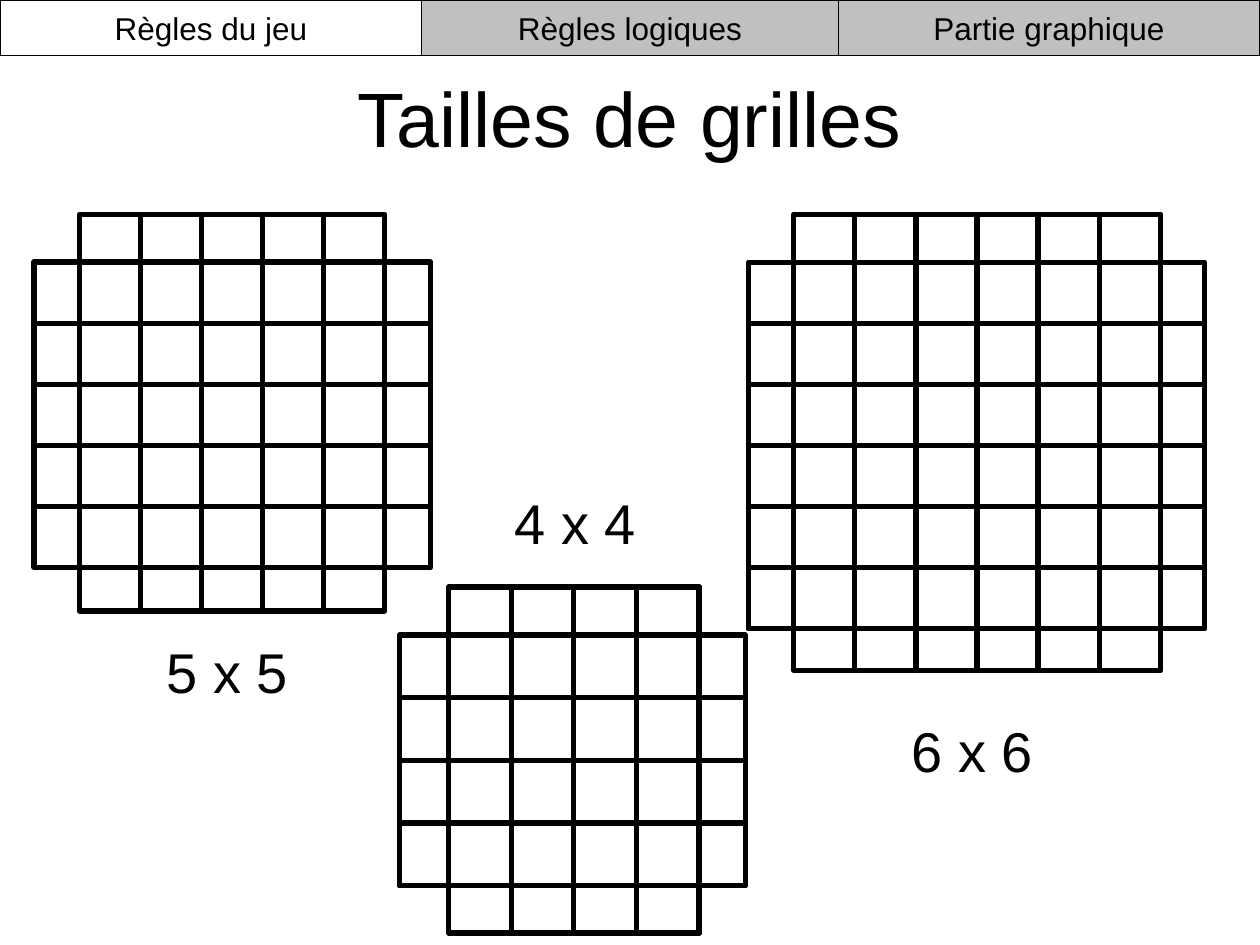
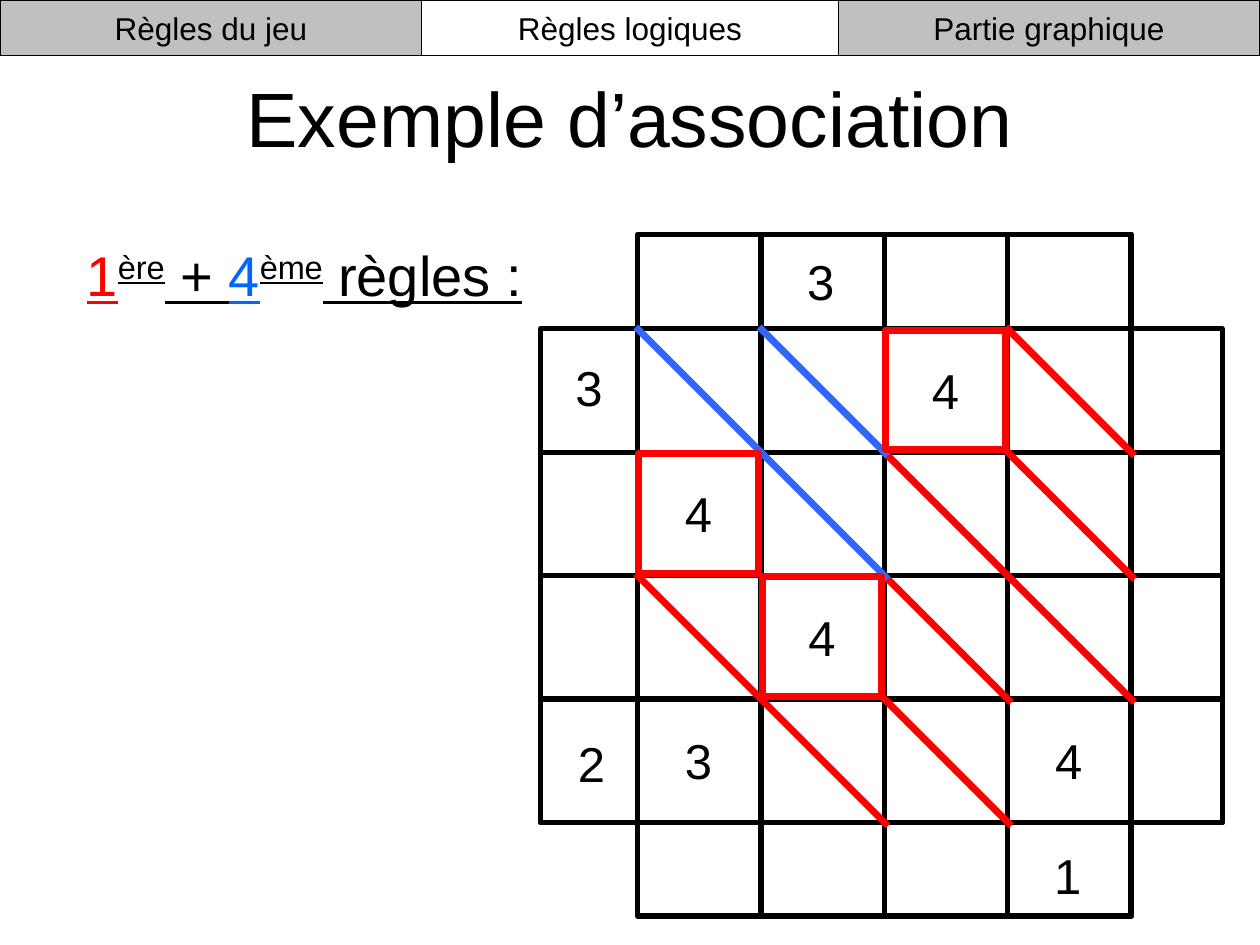
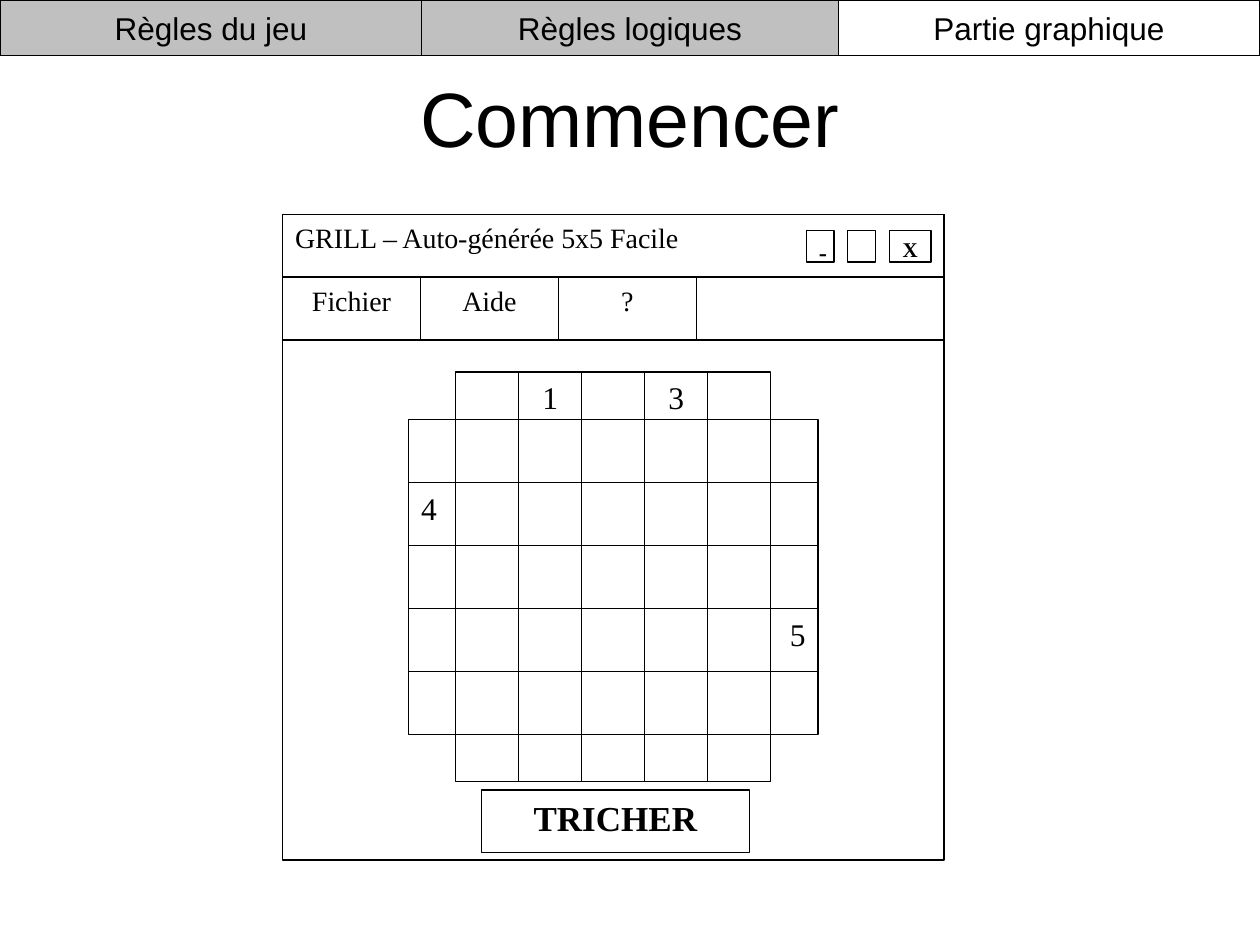
from lxml.etree import SubElement
from pptx import Presentation
from pptx.dml.color import RGBColor
from pptx.enum.shapes import MSO_CONNECTOR, MSO_SHAPE
from pptx.enum.text import MSO_ANCHOR, PP_ALIGN
from pptx.oxml.ns import qn
from pptx.util import Pt

COLORS = {
    "ink": "000000",
    "paper": "FFFFFF",
    "inactive": "C0C0C0",
    "red": "FF0000",
    "rule_blue": "0066FF",
    "line_blue": "3366FF",
}
SANS, SERIF = "Arial", "Times New Roman"
LEFT, CENTER, RIGHT = PP_ALIGN.LEFT, PP_ALIGN.CENTER, PP_ALIGN.RIGHT
TOP, MIDDLE = MSO_ANCHOR.TOP, MSO_ANCHOR.MIDDLE


def add_box(slide, left, top, width, height, text="", size=18, font=SANS, bold=False,
            align=CENTER, anchor=TOP, fill=None, line=None, weight=0.75, wrap=True):
    """Add a rectangle, or a plain text box when there is no outline."""
    frame = Pt(left), Pt(top), Pt(width), Pt(height)
    if line:
        shape = slide.shapes.add_shape(MSO_SHAPE.RECTANGLE, *frame)
        shape.shadow.inherit = False
        shape.line.color.rgb = RGBColor.from_string(COLORS[line])
        shape.line.width = Pt(weight)
        if fill:
            shape.fill.solid()
            shape.fill.fore_color.rgb = RGBColor.from_string(COLORS[fill])
        else:
            shape.fill.background()
    else:
        shape = slide.shapes.add_textbox(*frame)
    shape.text_frame.word_wrap = wrap
    shape.text_frame.vertical_anchor = anchor
    paragraph = shape.text_frame.paragraphs[0]
    paragraph.text = text
    paragraph.alignment = align
    paragraph.font.size = Pt(size)
    paragraph.font.name = font
    paragraph.font.bold = bold
    paragraph.font.color.rgb = RGBColor.from_string(COLORS["ink"])
    return shape


def add_grid(slide, count, cell, core, outer, length, weight, labels=None):
    """Cross column and row bars; core and outer are (left, top) corners.

    Labels map ("column" or "row", index) to (text, alignment).
    """
    labels = labels or {}
    side = count * cell
    add_box(slide, core[0], outer[1], side, length, line="ink", weight=weight)
    add_box(slide, outer[0], core[1], length, side, line="ink", weight=weight)
    for index in range(1, count, 2):
        offset = index * cell
        bars = {
            "column": (core[0] + offset, outer[1], cell, length),
            "row": (outer[0], core[1] + offset, length, cell),
        }
        for kind, bar in bars.items():
            text, align = labels.get((kind, index), ("", CENTER))
            add_box(slide, *bar, text, font=SERIF, align=align, line="ink", weight=weight)


presentation = Presentation()
presentation.slide_width = Pt(720)
presentation.slide_height = Pt(540)

# Shared title and navigation band; the band's middle tab lies under the outer two
tabs = [("Règles logiques", 0, 720), ("Règles du jeu", 0, 241), ("Partie graphique", 479, 241)]
pages = [
    ("Tailles de grilles", "Règles du jeu"),
    ("Exemple d’association", "Règles logiques"),
    ("Commencer", "Partie graphique"),
]
slides = []
for title, active_tab in pages:
    slide = presentation.slides.add_slide(presentation.slide_layouts[6])
    add_box(slide, 36, 21.6, 648, 90, title, size=44, anchor=MIDDLE)
    for name, left, width in tabs:
        add_box(slide, left, 0, width, 31.7, name, anchor=MIDDLE, wrap=False, line="ink",
                fill="paper" if name == active_tab else "inactive")
    slides.append(slide)
sizes_slide, example_slide, start_slide = slides

# Grid sizes: count, cell, core corner, outer corner, bar length, caption corner
size_grids = [
    (5, 34.9, (45.4, 149.8), (19.4, 122.4), 226.8, (70.6, 360.7)),
    (4, 35.8, (256.3, 362.9), (228.2, 335.5), 197.7, (269.3, 275.8)),
    (6, 34.9, (453.6, 149.8), (427.7, 122.4), 260.6, (496.1, 406.1)),
]
for count, cell, core, outer, length, caption in size_grids:
    add_grid(sizes_slide, count, cell, core, outer, length, weight=3)
    add_box(sizes_slide, *caption, 118.8, 46, f"{count} x {count}", size=32)

# Association example
core_left, core_top, cell = 364.3, 187.9, 70.5
add_grid(example_slide, 4, cell, (core_left, core_top), (308.9, 133.9), 389.5, weight=3)
for text, left, top in [("3", 443.5, 140.4), ("3", 311, 200.9),
                        ("1", 584.6, 479.5), ("2", 312.5, 415.4)]:
    add_box(example_slide, left, top, 51.1, 41, text, size=28)

diagonals = {
    "red": [(3, 0), (3, 1), (3, 2), (2, 3), (1, 3), (0, 2), (2, 2), (2, 1)],
    "line_blue": [(0, 0), (1, 0), (1, 1)],
}
for color, cells in diagonals.items():
    for column, row in cells:
        left = core_left + column * cell - 1
        top = core_top + row * cell - 1
        connector = example_slide.shapes.add_connector(
            MSO_CONNECTOR.STRAIGHT, Pt(left), Pt(top), Pt(left + 73.5), Pt(top + 73.5))
        connector.line.color.rgb = RGBColor.from_string(COLORS[color])
        connector.line.width = Pt(4)
        SubElement(connector._element.spPr, qn("a:effectLst"))

for text, column, row, outline in [("4", 2, 0, "red"), ("4", 0, 1, "red"), ("4", 1, 2, "red"),
                                   ("3", 0, 3, None), ("4", 3, 3, None)]:
    add_box(example_slide, core_left + column * cell + 0.7, core_top + row * cell + 0.7,
            68.4, 68.4, text, size=28, anchor=MIDDLE, line=outline, weight=4, wrap=False)

heading = add_box(example_slide, 42.5, 133.9, 289.4, 46, size=32, align=LEFT)
paragraph = heading.text_frame.paragraphs[0]
paragraph.font.underline = True
for text, color, raised in [("1", "red", False), ("ère", "ink", True), (" + ", "ink", False),
                            ("4", "rule_blue", False), ("ème", "ink", True),
                            (" règles :", "ink", False)]:
    run = paragraph.add_run()
    run.text = text
    run.font.color.rgb = RGBColor.from_string(COLORS[color])
    if raised:
        run._r.get_or_add_rPr().set("baseline", "30000")

# Game window
window_left, window_top, window_width, bar_height = 161.5, 122.4, 378, 36
add_box(start_slide, window_left, window_top, window_width, 369, line="ink")
add_box(start_slide, window_left, window_top, window_width, bar_height,
        "GRILL – Auto-générée 5x5 Facile", size=16, font=SERIF, align=LEFT,
        fill="paper", line="ink")
menu_width = 78.8
for index, text in enumerate(["Fichier", "Aide", "?", ""]):
    left = window_left + index * menu_width
    width = menu_width if text else window_left + window_width - left
    add_box(start_slide, left, window_top + bar_height, width, bar_height, text,
            size=16, font=SERIF, fill="paper", line="ink")
for text, left, width, size in [("-", 460.8, 15.8, 14), ("", 484.4, 15.8, 14),
                                ("X", 508.3, 23.8, 12)]:
    add_box(start_slide, left, 131.8, width, 18, text, size=size, font=SERIF, bold=True,
            fill="paper", line="ink")
add_grid(start_slide, 5, 36, (260.5, 239.8), (233.5, 212.6), 234, weight=0.75, labels={
    ("column", 1): ("1", CENTER),
    ("column", 3): ("3", CENTER),
    ("row", 1): ("4", LEFT),
    ("row", 3): ("5", RIGHT),
})
add_box(start_slide, 275, 451.4, 153.4, 36, "TRICHER", size=20, font=SERIF, bold=True,
        fill="paper", line="ink")

presentation.save("out.pptx")
